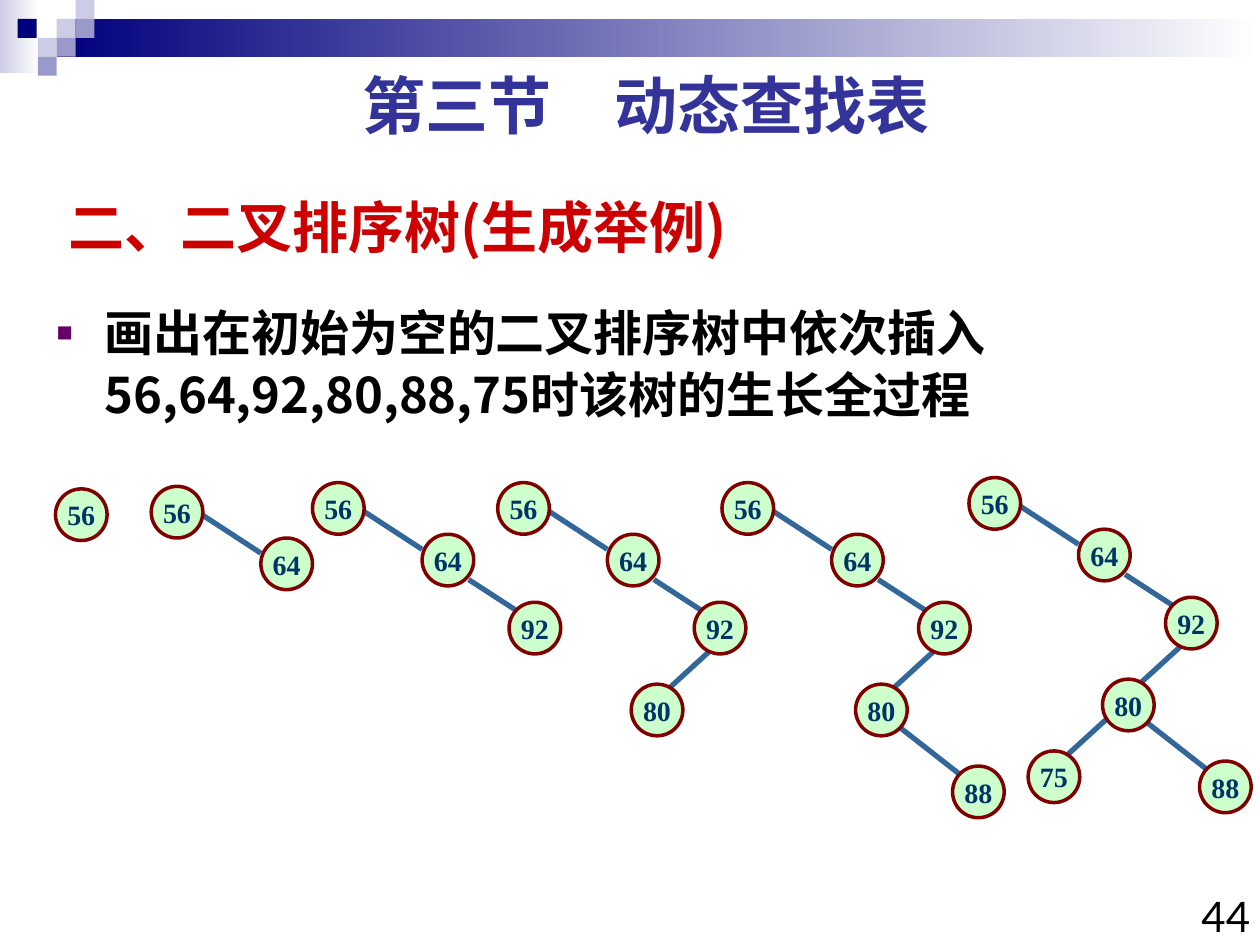
from lxml import etree
from pptx import Presentation
from pptx import util as u
from pptx.dml.color import RGBColor
from pptx.enum import shapes, text
from pptx.oxml.ns import qn

Inches, Pt = u.Inches, u.Pt
rgb = RGBColor.from_string


def style(paragraph, size, face, color, bold=True):
    """Set the paragraph's font, for Latin and East Asian text alike."""
    font = paragraph.font
    font.size, font.name, font.bold = Pt(size), face, bold
    font.color.rgb = rgb(color)
    latin = paragraph._p.pPr.find(qn("a:defRPr")).find(qn("a:latin"))
    east_asian = etree.Element(qn("a:ea"), typeface=face)
    latin.addnext(east_asian)


def place(shape, left, top, width, height):
    shape.left, shape.top = Inches(left), Inches(top)
    shape.width, shape.height = Inches(width), Inches(height)


prs = Presentation()
prs.slide_width, prs.slide_height = Inches(10), Inches(7.5)
slide = prs.slides.add_slide(prs.slide_layouts[1])
canvas = slide.shapes

# Header band and its mosaic of squares
header = [
    (0, 0, 0.31, 0.58, ["CCCCE6", "FFFFFF"]),
    (0.45, 0.15, 9.55, 0.3, ["00007D", "FFFFFF"]),
]
mosaic = [
    (0.45, 0.15, "CCCCE6"), (0.6, 0, "CCCCE6"), (0.6, 0.15, "9999CC"),
    (0.3, 0.3, "CCCCE6"), (0.14, 0.15, "00007D"), (0.45, 0.3, "9999CC"),
    (0.3, 0.45, "9999CC"),
]
header += [(x, y, 0.15, 0.15, [color]) for x, y, color in mosaic]
for x, y, width, height, colors in header:
    block = canvas.add_shape(shapes.MSO_SHAPE.RECTANGLE, Inches(x), Inches(y),
                             Inches(width), Inches(height))
    block.shadow.inherit = False
    block.line.fill.background()
    if len(colors) == 1:
        block.fill.solid()
        block.fill.fore_color.rgb = rgb(colors[0])
    else:
        block.fill.gradient()
        block.fill.gradient_angle = 0
        for stop, color, position in zip(block.fill.gradient_stops, colors, (0, 1)):
            stop.color.rgb = rgb(color)
            stop.position = position

# Section heading
heading = canvas.title
place(heading, 0.44, 1.42, 6.25, 0.75)
heading.text_frame.text = "二、二叉排序树(生成举例)"
heading.text_frame.auto_size = text.MSO_AUTO_SIZE.NONE
heading.text_frame.vertical_anchor = text.MSO_ANCHOR.MIDDLE
heading.text_frame.paragraphs[0].alignment = text.PP_ALIGN.LEFT
style(heading.text_frame.paragraphs[0], 32, "Noto Sans CJK SC", "CC0000")

# Exercise
exercise = slide.placeholders[1]
place(exercise, 0.35, 2.33, 9.58, 4.42)
exercise.text_frame.text = "画出在初始为空的二叉排序树中依次插入56,64,92,80,88,75时该树的生长全过程"
exercise.text_frame.auto_size = text.MSO_AUTO_SIZE.NONE
task = exercise.text_frame.paragraphs[0]
task.line_spacing, task.space_before = 1.05, Pt(0)
props = task._p.get_or_add_pPr()
props.set("marL", str(Inches(0.38)))
props.set("indent", str(-Inches(0.38)))
bullet_color = etree.SubElement(props, qn("a:buClr"))
etree.SubElement(bullet_color, qn("a:srgbClr"), val="660066")
etree.SubElement(props, qn("a:buSzPct"), val="55000")
etree.SubElement(props, qn("a:buChar"), char="■")
style(task, 28, "Noto Sans CJK SC", "000000")

# Chapter title and page number
captions = [
    (0.5, 0.48, 9.25, 0.7, "第三节　动态查找表", text.PP_ALIGN.CENTER, 36, "333399", True),
    (9.35, 7.02, 0.67, 0.59, "44", text.PP_ALIGN.RIGHT, 24, "000000", False),
]
for x, y, width, height, words, alignment, size, color, bold in captions:
    caption = canvas.add_textbox(Inches(x), Inches(y), Inches(width), Inches(height))
    caption.text_frame.word_wrap = True
    caption.text_frame.text = words
    caption.text_frame.paragraphs[0].alignment = alignment
    style(caption.text_frame.paragraphs[0], size, "Lato", color, bold)

# Keys in insertion order: node offset from the root, then the edge from its parent
DIAMETER = 0.41
insertions = [
    ("56", (0, 0), None),
    ("64", (0.87, 0.41), (0.41, 0.23, 0.87, 0.53)),
    ("92", (1.56, 0.95), (1.24, 0.77, 1.61, 1.01)),
    ("80", (1.06, 1.6), (1.68, 1.34, 1.33, 1.66)),
    ("88", (1.83, 2.25), (1.42, 1.95, 1.88, 2.31)),
    ("75", (0.47, 2.17), (1.1, 1.91, 0.75, 2.23)),
]
roots = [(0.44, 3.88), (1.2, 3.86), (2.48, 3.83), (3.95, 3.83), (5.73, 3.83), (7.69, 3.79)]

# Each tree holds one more key than the tree before it
for count, (root_x, root_y) in enumerate(roots, start=1):
    tree = insertions[:count]
    for key, offset, edge in tree[1:]:
        x1, y1, x2, y2 = edge
        branch = canvas.add_connector(
            shapes.MSO_CONNECTOR.STRAIGHT, Inches(root_x + x1), Inches(root_y + y1),
            Inches(root_x + x2), Inches(root_y + y2))
        branch.line.color.rgb = rgb("336699")
        branch.line.width = Pt(3)
        etree.SubElement(branch._element.spPr, qn("a:effectLst"))
    for key, (dx, dy), edge in tree:
        node = canvas.add_shape(shapes.MSO_SHAPE.OVAL, Inches(root_x + dx), Inches(root_y + dy),
                                Inches(DIAMETER), Inches(DIAMETER))
        node.shadow.inherit = False
        node.fill.solid()
        node.fill.fore_color.rgb = rgb("CCFFCC")
        node.line.color.rgb = rgb("800000")
        node.line.width = Pt(2)
        node.text_frame.text = key
        node.text_frame.word_wrap = False
        node.text_frame.vertical_anchor = text.MSO_ANCHOR.MIDDLE
        node.text_frame.paragraphs[0].alignment = text.PP_ALIGN.CENTER
        style(node.text_frame.paragraphs[0], 16, "Times New Roman", "003366")

prs.save("out.pptx")
